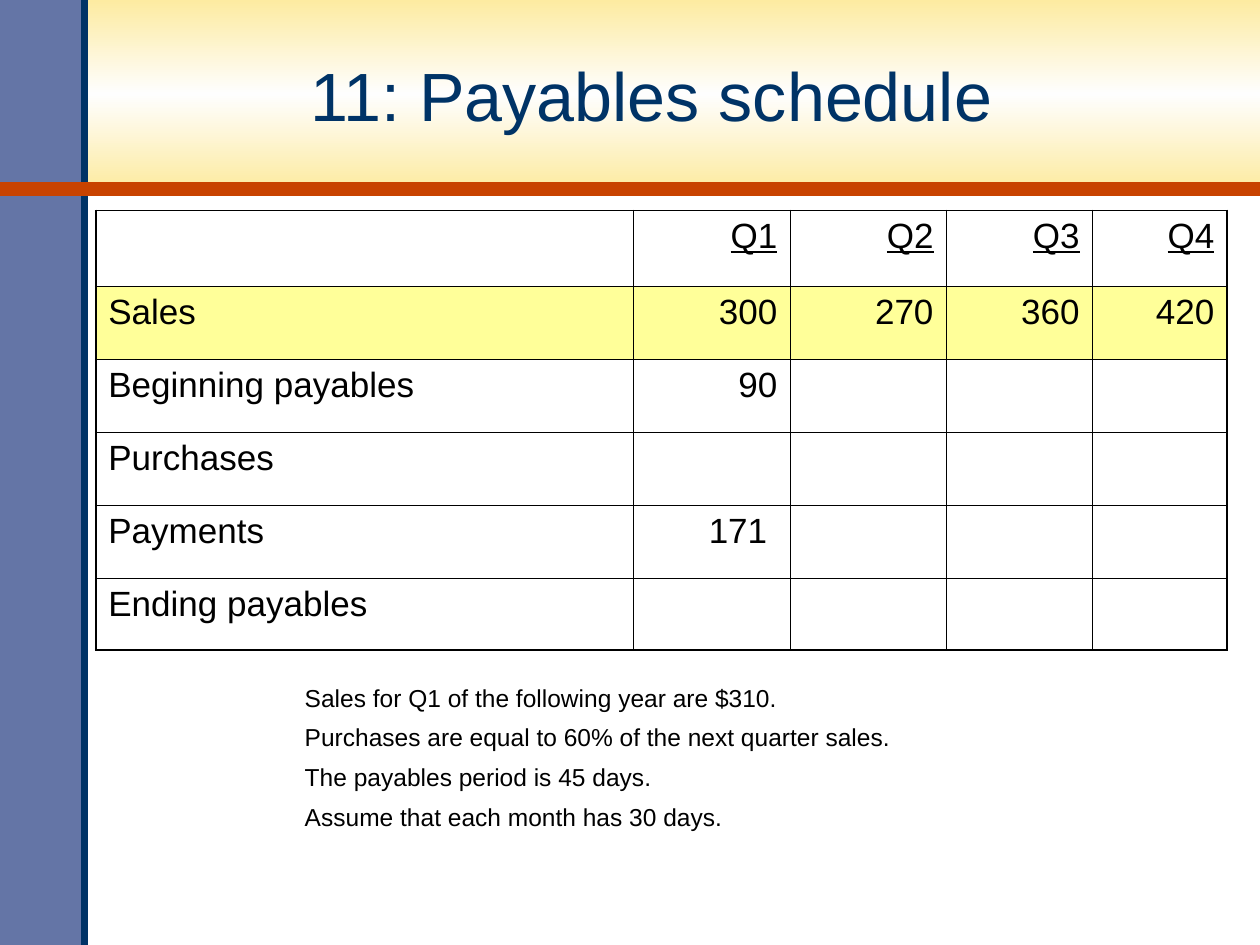
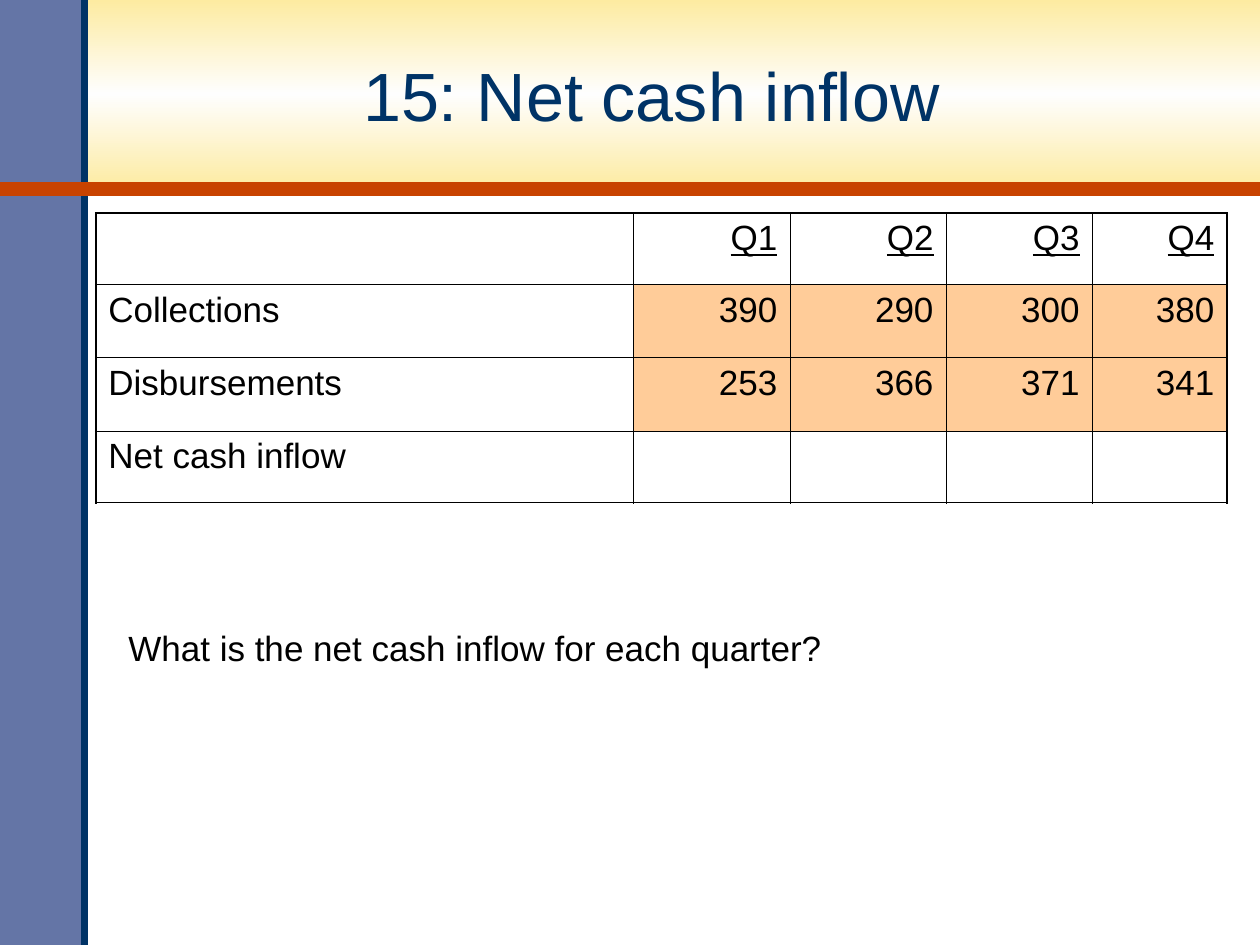
import pptx
import pptx.util
import pptx.dml.color
import pptx.enum.shapes
import pptx.enum.text
import pptx.oxml.ns
import lxml.etree
import copy

Inches = pptx.util.Inches
Pt = pptx.util.Pt
qn = pptx.oxml.ns.qn
Align = pptx.enum.text.PP_ALIGN
RGB = pptx.dml.color.RGBColor.from_string
RECT = pptx.enum.shapes.MSO_SHAPE.RECTANGLE
STRAIGHT = pptx.enum.shapes.MSO_CONNECTOR.STRAIGHT

hues = {
    "gold": "FDEBA1", "pale": "FEFEFE", "side": "6475A6", "navy": "003366",
    "rust": "C84300", "ink": "000000", "lemon": "FFFF99", "peach": "FFCC99",
}

widths = [4.27, 1.24, 1.24, 1.16, 1.07]
head = ["", "Q1", "Q2", "Q3", "Q4"]
pages = [
    {
        "title": "11: Payables schedule",
        "top": 1.67,
        "heights": [0.6, 0.58, 0.58, 0.58, 0.58, 0.57],
        "rows": [
            head,
            ["Sales", "300", "270", "360", "420"],
            ["Beginning payables", "90", "", "", ""],
            ["Purchases", "", "", "", ""],
            ["Payments", "171", "", "", ""],
            ["Ending payables", "", "", "", ""],
        ],
        "fills": {(1, col): "lemon" for col in range(5)},
        "inset": {(4, 1): 0.18},
        "notes": [
            "Sales for Q1 of the following year are $310.",
            "Purchases are equal to 60% of the next quarter sales.",
            "The payables period is 45 days.",
            "Assume that each month has 30 days.",
        ],
        "box": (0.92, 4.92, 8.42, 1.67),
        "pad": 0.5, "indent": 1.4, "size": 14,
    },
    {
        "title": "15: Net cash inflow",
        "top": 1.69,
        "heights": [0.57, 0.58, 0.58, 0.57],
        "rows": [
            head,
            ["Collections", "390", "290", "300", "380"],
            ["Disbursements", "253", "366", "371", "341"],
            ["Net cash inflow", "", "", "", ""],
        ],
        "fills": {(row, col): "peach" for row in (1, 2) for col in range(1, 5)},
        "inset": {},
        "notes": ["What is the net cash inflow for each quarter?"],
        "box": (0.92, 4.92, 7.92, 0.44),
        "pad": 0.05, "indent": 0, "size": 20,
    },
]


def write(para, text, size, hue="ink", align=Align.LEFT):
    para.alignment = align
    run = para.add_run()
    run.text = text
    run.font.name = "Arial"
    run.font.size = Pt(size)
    run.font.color.rgb = RGB(hues[hue])
    return run


def edge(cell, side, width):
    line = lxml.etree.SubElement(
        cell._tc.get_or_add_tcPr(), qn("a:ln" + side), w=str(Pt(width)))
    solid = lxml.etree.SubElement(line, qn("a:solidFill"))
    lxml.etree.SubElement(solid, qn("a:srgbClr"), val=hues["ink"])


deck = pptx.Presentation()
deck.slide_width = Inches(10)
deck.slide_height = Inches(7.5)

for page in pages:
    slide = deck.slides.add_slide(deck.slide_layouts[6])
    shapes = slide.shapes

    band = shapes.add_shape(RECT, 0, 0, Inches(10), Inches(1.5))
    band.fill.gradient()
    band.fill.gradient_angle = 90
    stops = band._element.spPr.find(".//" + qn("a:gsLst"))
    stops.insert(1, copy.deepcopy(stops[0]))
    for stop, hue, place in zip(
            band.fill.gradient_stops, ["gold", "pale", "gold"], [0, 0.5, 1]):
        stop.color.rgb = RGB(hues[hue])
        stop.position = place

    bar = shapes.add_shape(RECT, 0, 0, Inches(0.67), Inches(7.5))
    bar.fill.solid()
    bar.fill.fore_color.rgb = RGB(hues["side"])
    for shape in (band, bar):
        shape.line.fill.background()
        shape.shadow.inherit = False

    for ends, hue, width in [((0.67, 7.5, 0.67, 0), "navy", 4),
                             ((0, 1.5, 10, 1.5), "rust", 8)]:
        rule = shapes.add_connector(STRAIGHT, *map(Inches, ends))
        rule.line.color.rgb = RGB(hues[hue])
        rule.line.width = Pt(width)
        lxml.etree.SubElement(rule._element.spPr, qn("a:effectLst"))

    title = shapes.add_textbox(*map(Inches, (0.65, 0.15, 9.04, 1.2))).text_frame
    title.word_wrap = True
    title.vertical_anchor = pptx.enum.text.MSO_ANCHOR.MIDDLE
    write(title.paragraphs[0], page["title"], 39, "navy", Align.CENTER)

    rows = page["rows"]
    last = len(rows) - 1
    table = shapes.add_table(
        len(rows), 5, Inches(0.76), Inches(page["top"]),
        Inches(sum(widths)), Inches(sum(page["heights"]))).table
    table.first_row = False
    table.horz_banding = False
    for col, width in enumerate(widths):
        table.columns[col].width = Inches(width)
    for row, texts in enumerate(rows):
        table.rows[row].height = Inches(page["heights"][row])
        for col, text in enumerate(texts):
            cell = table.cell(row, col)
            cell.margin_right = Inches(page["inset"].get((row, col), 0.1))
            for side, outer in [("L", col == 0), ("R", col == 4),
                                ("T", row == 0), ("B", row == last)]:
                edge(cell, side, 1.08 if outer else 0.45)
            if (row, col) in page["fills"]:
                cell.fill.solid()
                cell.fill.fore_color.rgb = RGB(hues[page["fills"][row, col]])
            else:
                cell.fill.background()
            if text:
                align = Align.RIGHT if col else Align.LEFT
                run = write(cell.text_frame.paragraphs[0], text, 20, align=align)
                run.font.underline = row == 0

    notes = shapes.add_textbox(*map(Inches, page["box"])).text_frame
    notes.word_wrap = True
    notes.margin_top = Inches(page["pad"])
    for num, text in enumerate(page["notes"]):
        para = notes.add_paragraph() if num else notes.paragraphs[0]
        para._p.get_or_add_pPr().set("marL", str(Inches(page["indent"])))
        if num:
            para.space_before = Pt(5.8)
        write(para, text, page["size"])

deck.save("out.pptx")
